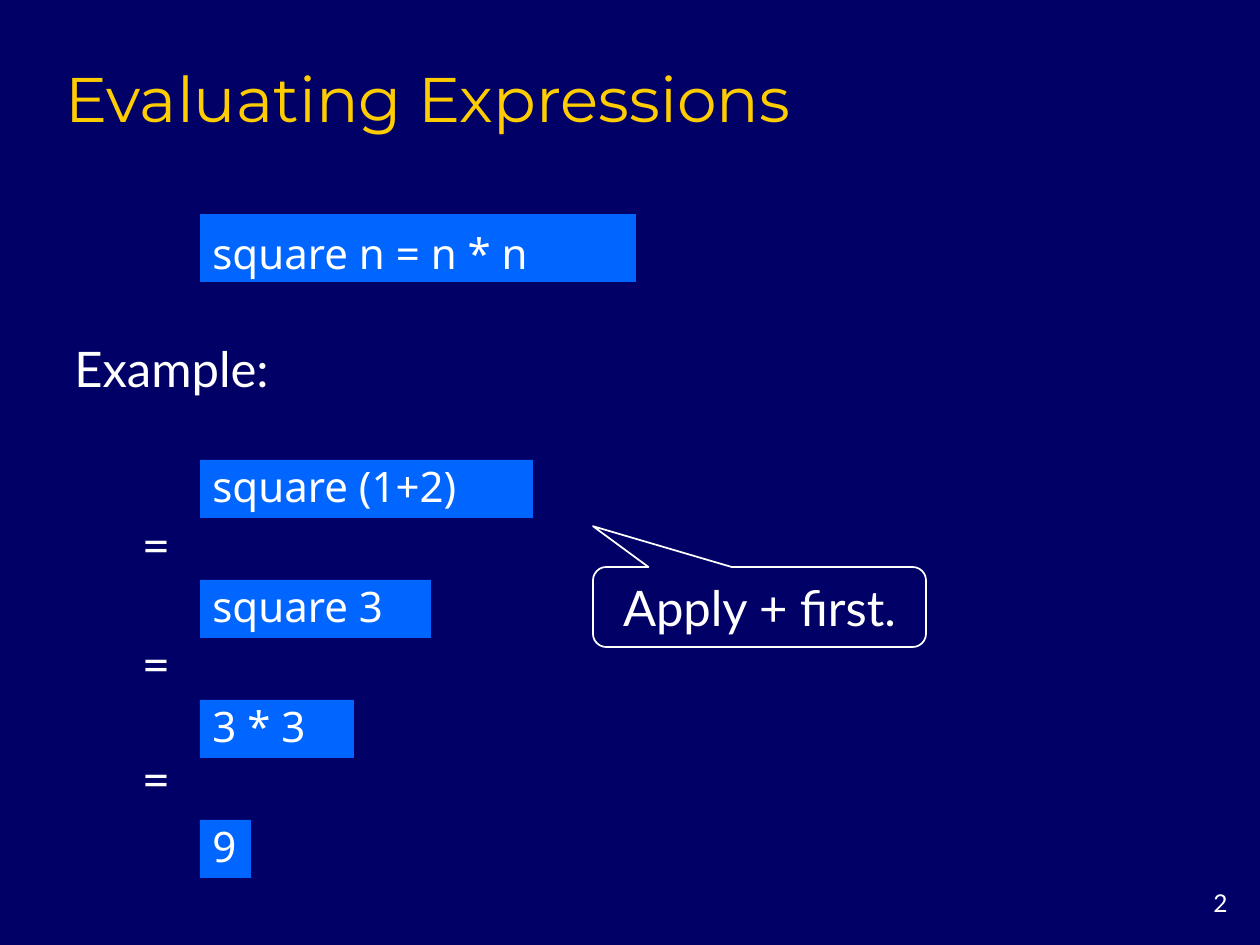
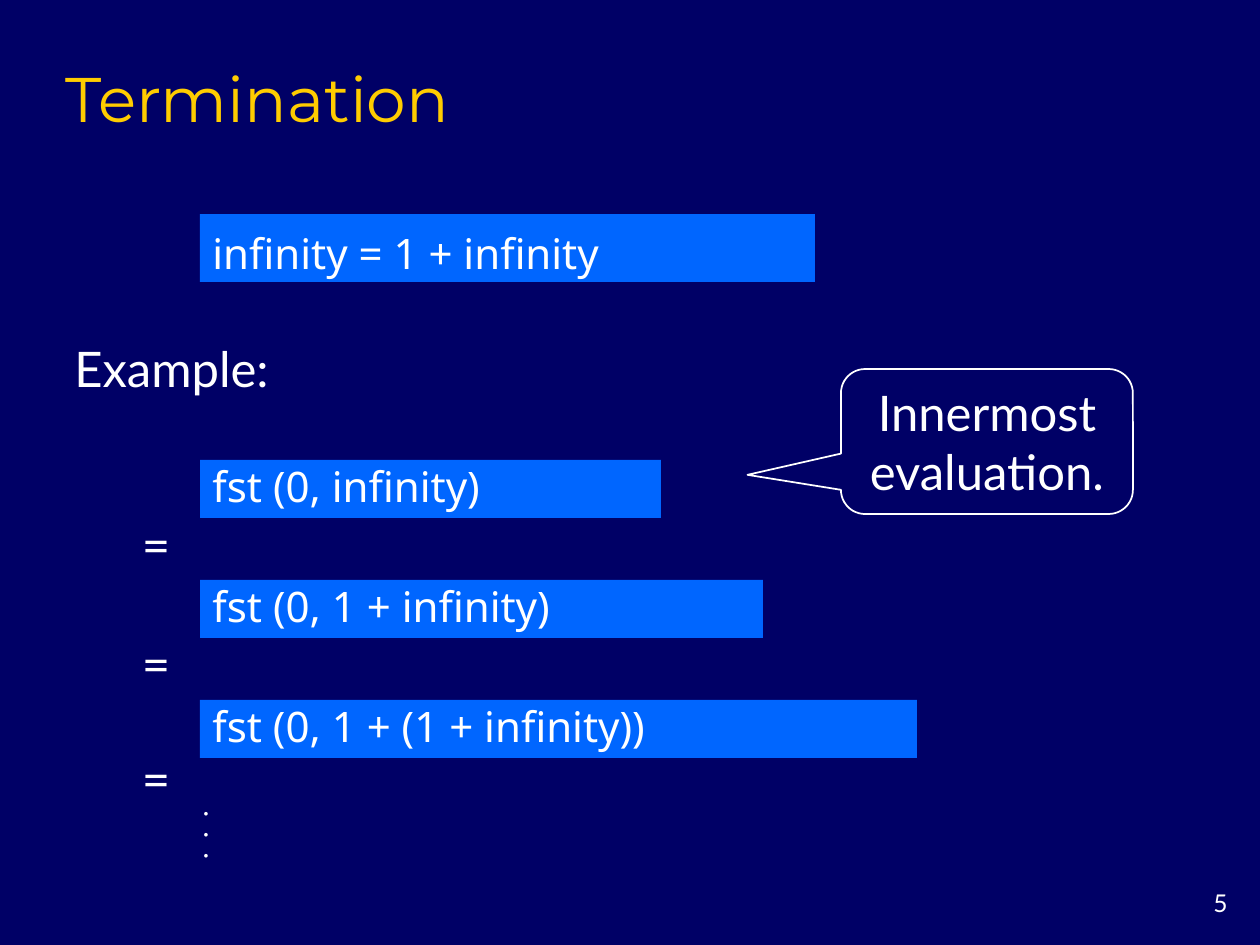
from pptx import Presentation
from pptx.dml.color import RGBColor
from pptx.enum.shapes import MSO_SHAPE as Preset
from pptx.enum.text import MSO_ANCHOR as Anchor, PP_ALIGN as Align
from pptx.util import Emu, Pt

# Shared look
EMU_PER_PX = 914400 / 126
NAVY, BLUE, GOLD, WHITE = "000066", "0066FF", "FFCC00", "FFFFFF"
TITLE_FONT, BODY_FONT, CODE_FONT = "Montserrat", "Lato", "Noto Sans"

# Evaluation steps
CODE_LEFT, CODE_HEIGHT = 200, 58
STEP_TOP, STEP_PITCH = 460, 120
EQUALS_TOPS = (508, 627, 742)
DOT_TOP, DOT_PITCH = 791, 21


def px(length):
    return Emu(round(length * EMU_PER_PX))


def color(hex_code):
    return RGBColor.from_string(hex_code)


def write(shape, text, size, font=BODY_FONT, ink=WHITE, align=Align.LEFT,
          anchor=Anchor.MIDDLE, spacing=None):
    frame = shape.text_frame
    frame.word_wrap = True
    frame.vertical_anchor = anchor
    paragraph = frame.paragraphs[0]
    paragraph.alignment = align
    if spacing:
        paragraph.line_spacing = spacing
    run = paragraph.add_run()
    run.text = text
    run.font.name = font
    run.font.size = Pt(size)
    run.font.color.rgb = color(ink)


def add_label(slide, box, text, size, **style):
    label = slide.shapes.add_textbox(*map(px, box))
    write(label, text, size, **style)


def add_code(slide, top, width, code, height=CODE_HEIGHT, spacing=0.9):
    panel = slide.shapes.add_shape(
        Preset.RECTANGLE, *map(px, (CODE_LEFT, top, width, height)))
    panel.shadow.inherit = False
    panel.fill.solid()
    panel.fill.fore_color.rgb = color(BLUE)
    panel.line.fill.background()
    write(panel, code, 24, font=CODE_FONT, spacing=spacing)


def add_callout(slide, box, pointer, text):
    callout = slide.shapes.add_shape(
        Preset.ROUNDED_RECTANGULAR_CALLOUT, *map(px, box))
    callout.shadow.inherit = False
    callout.fill.background()
    callout.line.color.rgb = color(WHITE)
    callout.line.width = Pt(1)
    callout.adjustments[0], callout.adjustments[1] = pointer
    write(callout, text, 28, align=Align.CENTER)


def add_steps(slide, steps):
    for index, (code, width) in enumerate(steps):
        add_code(slide, STEP_TOP + index * STEP_PITCH, width, code)
    for top in EQUALS_TOPS:
        add_label(slide, (126, top, 60, 72), "=", 28, align=Align.CENTER)


def add_continuation_dots(slide):
    for index in range(3):
        add_label(slide, (188, DOT_TOP + index * DOT_PITCH, 36, 42), "∙", 14,
                  align=Align.CENTER)


def add_example_slide(deck, number, title, definition, definition_width, steps):
    slide = deck.slides.add_slide(deck.slide_layouts[6])
    slide.background.fill.solid()
    slide.background.fill.fore_color.rgb = color(NAVY)
    add_label(slide, (1155, 882, 85, 42), number, 14, align=Align.RIGHT,
              anchor=Anchor.TOP)
    add_label(slide, (53, 53, 1173, 95), title, 36, font=TITLE_FONT, ink=GOLD,
              anchor=Anchor.TOP)
    add_code(slide, 214, definition_width, definition, height=68, spacing=1.2)
    add_label(slide, (62, 332, 1164, 72), "Example:", 28)
    add_steps(slide, steps)
    return slide


def main():
    deck = Presentation()
    deck.slide_width, deck.slide_height = px(1260), px(945)

    # Evaluating a function call
    evaluating = add_example_slide(
        deck, "2", "Evaluating Expressions", "square n = n * n", 436,
        [("square (1+2)", 333), ("square 3", 231), ("3 * 3", 154), ("9", 51)])
    add_callout(evaluating, (593, 567, 333, 80), (-0.5, -1.01),
                "Apply + first.")

    # An evaluation that never ends
    termination = add_example_slide(
        deck, "5", "Termination", "infinity = 1 + infinity", 615,
        [("fst (0, infinity)", 461), ("fst (0, 1 + infinity)", 563),
         ("fst (0, 1 + (1 + infinity))", 717)])
    add_callout(termination, (841, 369, 292, 145), (-0.82, 0.23),
                "Innermost evaluation.")
    add_continuation_dots(termination)

    deck.save("out.pptx")


if __name__ == "__main__":
    main()
